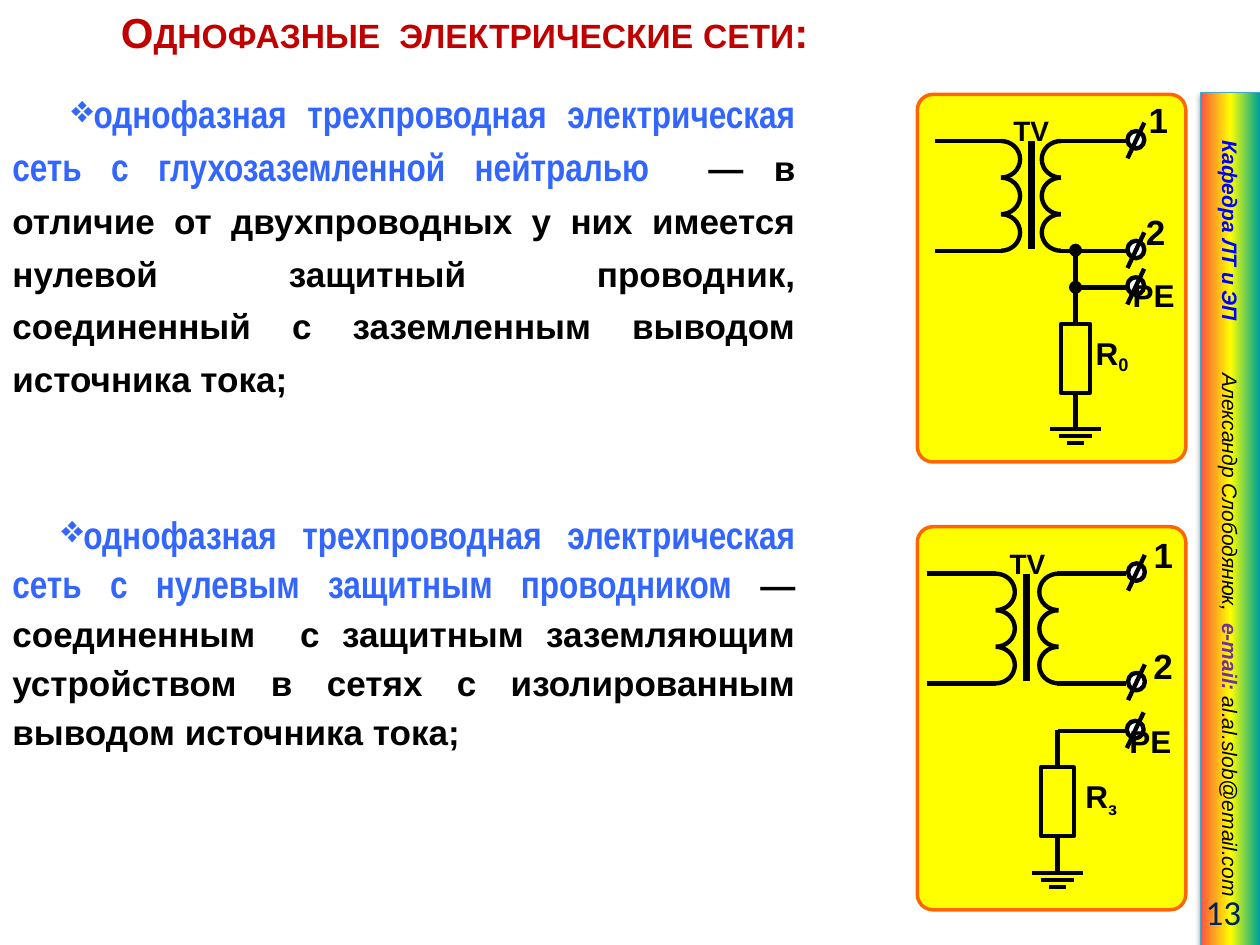
from dataclasses import dataclass
from math import cos, pi, sin

from lxml.etree import SubElement
from pptx import Presentation
from pptx.dml.color import RGBColor
from pptx.enum.shapes import MSO_CONNECTOR, MSO_SHAPE
from pptx.enum.text import MSO_ANCHOR, PP_ALIGN
from pptx.oxml import parse_xml
from pptx.oxml.ns import nsdecls, qn
from pptx.util import Pt


@dataclass(frozen=True)
class Theme:
    title: str = "C00000"
    term: str = "3366FF"
    ink: str = "000000"
    department: str = "0000FF"
    mail: str = "7030A0"
    number: str = "002060"
    card: str = "FFFF00"
    card_edge: str = "FF6600"
    white: str = "FFFFFF"
    bar_edge: str = "46AAC5"
    rainbow: tuple = ((0, "FF3399"), (6, "FF6633"), (50, "FFFF00"), (96, "01A78F"), (100, "3366FF"))
    title_size: int = 24
    term_size: int = 22
    body_size: int = 20
    label_size: int = 18
    transformer_size: int = 16
    bar_size: int = 12
    wire: float = 2.5
    core: float = 4


theme = Theme()


def add_runs(para, *runs):
    """Each run is (text, size, colour, bold, italic, font name)."""
    for text, size, colour, bold, italic, name in runs:
        span = para.add_run()
        span.text = text
        span.font.size = Pt(size)
        span.font.color.rgb = RGBColor.from_string(colour)
        span.font.bold = bold
        span.font.italic = italic
        span.font.name = name


def add_wire(shapes, x1, y1, x2, y2, width=theme.wire, dot=False):
    """Draw a black line; dot marks a junction at its start."""
    wire = shapes.add_connector(MSO_CONNECTOR.STRAIGHT, Pt(x1), Pt(y1), Pt(x2), Pt(y2))
    wire.line.color.rgb = RGBColor.from_string(theme.ink)
    wire.line.width = Pt(width)
    if dot:
        SubElement(wire.line._get_or_add_ln(), qn("a:headEnd")).set("type", "oval")
    SubElement(wire._element.spPr, qn("a:effectLst"))
    return wire


deck = Presentation()
deck.slide_width, deck.slide_height = Pt(720), Pt(540)
page = deck.slides.add_slide(deck.slide_layouts[6])

# Title
box = page.shapes.add_textbox(Pt(62), Pt(0), Pt(422), Pt(36))
box.text_frame.word_wrap = True
box.text_frame.vertical_anchor = MSO_ANCHOR.MIDDLE
para = box.text_frame.paragraphs[0]
title_style = (theme.title_size, theme.title, True, False, "Arial")
add_runs(para, ("Однофазные  электрические сети", *title_style), (":", *title_style))
para.runs[0].font._element.set("cap", "small")

# Definitions
definitions = [
    (44.6, 174, 33.8, 30,
     "однофазная трехпроводная электрическая сеть с глухозаземленной нейтралью  ",
     "— в отличие от двухпроводных у них имеется нулевой защитный проводник, "
     "соединенный с заземленным выводом источника тока;"),
    (286.6, 146, 28, 28,
     "однофазная трехпроводная электрическая сеть с нулевым защитным проводником ",
     "— соединенным  с защитным заземляющим устройством в сетях с изолированным "
     "выводом источника тока;"),
]
for top, height, indent, spacing, term, meaning in definitions:
    box = page.shapes.add_textbox(Pt(0), Pt(top), Pt(461.5), Pt(height))
    box.text_frame.word_wrap = True
    para = box.text_frame.paragraphs[0]
    para.alignment = PP_ALIGN.JUSTIFY
    para.level = 1
    para.line_spacing = Pt(spacing)
    properties = para._p.get_or_add_pPr()
    properties.set("marL", "0")
    properties.set("indent", str(Pt(indent)))
    SubElement(properties, qn("a:buChar")).set("char", "❖")
    add_runs(para,
             (term, theme.term_size, theme.term, True, False, "Arial Narrow"),
             (meaning, theme.body_size, theme.ink, True, False, "Arial"))

# Rainbow side bar
bar = page.shapes.add_shape(MSO_SHAPE.RECTANGLE, Pt(459.4), Pt(279.4), Pt(487.4), Pt(34.6))
bar.rotation = 90
bar.line.color.rgb = RGBColor.from_string(theme.bar_edge)
bar.line.width = Pt(0.75)
stops = "".join(f'<a:gs pos="{place * 1000}"><a:srgbClr val="{colour}"/></a:gs>'
                for place, colour in theme.rainbow)
bar.line._get_or_add_ln().addprevious(parse_xml(
    f'<a:gradFill {nsdecls("a")} rotWithShape="1"><a:gsLst>{stops}</a:gsLst>'
    '<a:lin ang="16200000" scaled="0"/></a:gradFill>'))
bar._element.spPr.append(parse_xml(
    f'<a:effectLst {nsdecls("a")}><a:outerShdw blurRad="{Pt(3.1)}" dist="{Pt(1.6)}" '
    f'dir="5400000" rotWithShape="0"><a:srgbClr val="{theme.ink}">'
    '<a:alpha val="38000"/></a:srgbClr></a:outerShdw></a:effectLst>'))
frame = bar.text_frame
frame.word_wrap = True
frame.margin_left = Pt(27.4)
frame.vertical_anchor = MSO_ANCHOR.MIDDLE
para = frame.paragraphs[0]
para.alignment = PP_ALIGN.LEFT
tabs = SubElement(para._p.get_or_add_pPr(), qn("a:tabLst"))
tab = SubElement(tabs, qn("a:tab"))
tab.set("pos", str(Pt(133)))
tab.set("algn", "l")
add_runs(para, *((text, theme.bar_size, colour, bold, True, "Arial") for text, colour, bold in [
    ("Кафедра ЛТ и ЭП\t", theme.department, True),
    ("Александр Слободянюк,  ", theme.ink, False),
    ("e-mail: ", theme.mail, True),
    ("al.al.slob@email.com", theme.ink, False)]))

# Slide number
box = page.shapes.add_textbox(Pt(677.5), Pt(506.2), Pt(38.9), Pt(28.8))
box.text_frame.word_wrap = True
box.text_frame.vertical_anchor = MSO_ANCHOR.MIDDLE
para = box.text_frame.paragraphs[0]
para.alignment = PP_ALIGN.RIGHT
add_runs(para, ("13", theme.body_size, theme.number, False, False, "Calibri"))

# Circuits: labels are (text, subscript, size, centre x, centre y)
circuits = [
    dict(card=(54, 210), winding=80.6, primary=(534.5, 572), secondary=606.2, core=589.7,
         terminals=((649.1, 79.9), (649.1, 142.6), (649, 163.4)), protective=164.2,
         earth=614.6, earth_top=143, resistor=(16.6, 185), ground=245.2, dot=True,
         labels=[("TV", "", theme.transformer_size, 589.3, 74.5),
                 ("R", "0", theme.label_size, 635.4, 202.7),
                 ("PE", "", theme.label_size, 659.2, 168.5),
                 ("2", "", theme.body_size, 660.4, 132.2),
                 ("1", "", theme.body_size, 662, 68.3)]),
    dict(card=(301, 218.9), winding=327.8, primary=(530, 569), secondary=604.8, core=586.8,
         terminals=((649.4, 326.9), (649.4, 389.5), (648.7, 416.9)), protective=417.9,
         earth=604.3, earth_top=416.9, resistor=(18.7, 438.4), ground=499, dot=False,
         labels=[("TV", "", theme.transformer_size, 587.2, 321.8),
                 ("R", "з", theme.label_size, 629.3, 456),
                 ("PE", "", theme.label_size, 657.4, 423.6),
                 ("2", "", theme.body_size, 664.6, 380),
                 ("1", "", theme.body_size, 664.8, 317)]),
]
TURN, BULGE, STEPS, TERMINAL_LEFT = 20.9, 10.9, 16, 643.7

for circuit in circuits:
    shapes = page.shapes.add_group_shape().shapes
    top, height = circuit["card"]
    card = shapes.add_shape(MSO_SHAPE.ROUNDED_RECTANGLE, Pt(524.2), Pt(top), Pt(153.4), Pt(height))
    card.adjustments[0] = 0.058
    card.shadow.inherit = False
    card.fill.solid()
    card.fill.fore_color.rgb = RGBColor.from_string(theme.card)
    card.line.color.rgb = RGBColor.from_string(theme.card_edge)
    card.line.width = Pt(2)

    winding = circuit["winding"]
    left, primary = circuit["primary"]
    secondary = circuit["secondary"]
    for axis, side in ((primary, 1), (secondary, -1)):
        for turn in range(3):
            middle = winding + TURN * (turn + 0.5)
            points = [(Pt(axis + side * BULGE * sin(pi * step / STEPS)),
                       Pt(middle - TURN / 2 * cos(pi * step / STEPS))) for step in range(STEPS + 1)]
            coil = shapes.build_freeform(*points[0])
            coil.add_line_segments(points[1:], close=False)
            arc = coil.convert_to_shape()
            arc.shadow.inherit = False
            arc.fill.background()
            arc.line.color.rgb = RGBColor.from_string(theme.ink)
            arc.line.width = Pt(theme.wire)
    for y in (winding, winding + 3 * TURN):
        add_wire(shapes, left, y, primary, y)
        add_wire(shapes, secondary - 0.7, y, TERMINAL_LEFT, y)
    add_wire(shapes, circuit["core"], winding, circuit["core"], winding + 61.5, theme.core)

    earth, protective, ground = circuit["earth"], circuit["protective"], circuit["ground"]
    width, top = circuit["resistor"]
    resistor = shapes.add_shape(MSO_SHAPE.RECTANGLE, Pt(earth - width / 2), Pt(top), Pt(width), Pt(39.5))
    resistor.shadow.inherit = False
    resistor.fill.background()
    resistor.line.color.rgb = RGBColor.from_string(theme.ink)
    resistor.line.width = Pt(2.25)
    add_wire(shapes, earth, circuit["earth_top"], earth, top, dot=circuit["dot"]).end_connect(resistor, 0)
    add_wire(shapes, earth, top + 39.5, earth, ground).begin_connect(resistor, 2)
    add_wire(shapes, earth, protective, TERMINAL_LEFT, protective, dot=circuit["dot"])
    for row, half in enumerate((14.5, 9.7, 4.7)):
        add_wire(shapes, earth - half, ground + 3.9 * row, earth + half, ground + 3.9 * row)

    for x, y in circuit["terminals"]:
        ring = shapes.add_shape(MSO_SHAPE.OVAL, Pt(x - 4.8), Pt(y - 5), Pt(9.6), Pt(10))
        ring.shadow.inherit = False
        ring.fill.solid()
        ring.fill.fore_color.rgb = RGBColor.from_string(theme.white)
        ring.line.color.rgb = RGBColor.from_string(theme.ink)
        ring.line.width = Pt(theme.wire)
        add_wire(shapes, x - 4.8, y + 10.6, x + 4.8, y - 9.8)

    for text, subscript, size, x, y in circuit["labels"]:
        width = 18 if len(text + subscript) == 1 else 34
        box = shapes.add_textbox(Pt(x - width / 2), Pt(y - 11), Pt(width), Pt(22))
        frame = box.text_frame
        frame.word_wrap = True
        frame.vertical_anchor = MSO_ANCHOR.MIDDLE
        frame.margin_left = frame.margin_right = frame.margin_top = frame.margin_bottom = 0
        para = frame.paragraphs[0]
        para.alignment = PP_ALIGN.CENTER
        add_runs(para, (text, size, theme.ink, True, False, "Arial"))
        if subscript:
            add_runs(para, (subscript, size, theme.ink, True, False, "Arial"))
            para.runs[1].font._element.set("baseline", "-20000")

deck.save("out.pptx")
